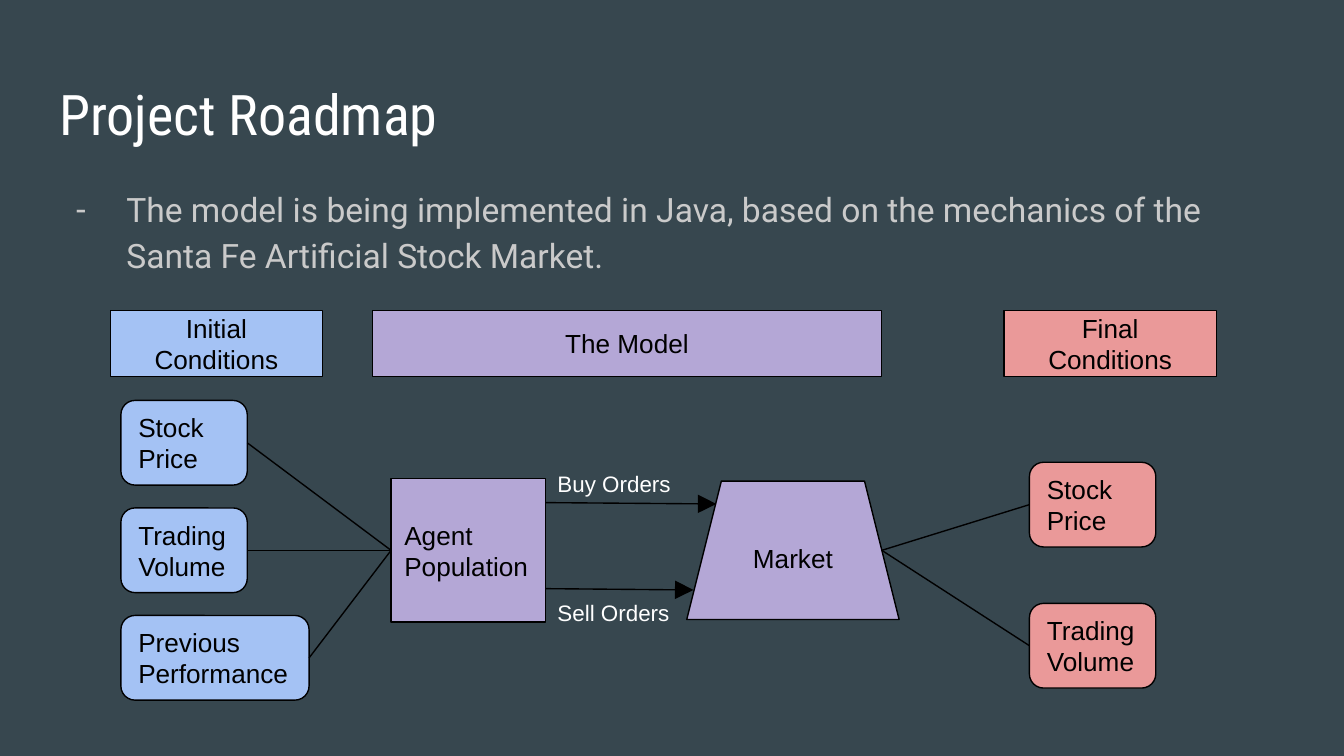
from collections import namedtuple

from pptx import Presentation
from pptx.dml.color import RGBColor
from pptx.enum.shapes import MSO_CONNECTOR as Link, MSO_SHAPE as Form
from pptx.enum.text import MSO_ANCHOR as Anchor, MSO_AUTO_SIZE as Fit, PP_ALIGN as Align
from pptx.oxml.ns import qn
from pptx.util import Inches, Pt
from lxml.etree import SubElement

BACKGROUND = RGBColor(0x37, 0x47, 0x4F)
WHITE = RGBColor(0xFF, 0xFF, 0xFF)
BLACK = RGBColor(0, 0, 0)
GREY = RGBColor(0xCA, 0xCA, 0xCA)
BLUE = RGBColor(0xA4, 0xC2, 0xF4)
PURPLE = RGBColor(0xB4, 0xA7, 0xD6)
RED = RGBColor(0xEA, 0x99, 0x99)

HEADER_HEIGHT = 0.49
CARD_WIDTH, CARD_HEIGHT = 0.94, 0.63
STROKE = Pt(0.75)

Box = namedtuple("Box", "left top width height")


def inside(region, x, y, width, height):
    return Box(region.left + x, region.top + y, width, height)


def left_mid(box):
    return box.left, box.top + box.height / 2


def right_mid(box):
    return box.left + box.width, box.top + box.height / 2


def set_all(target, values):
    for key, value in values.items():
        setattr(target, key, value)


def write(frame, text, size, font, color, anchor=Anchor.TOP, align=Align.LEFT):
    set_all(frame, dict(text=text, word_wrap=True, auto_size=Fit.NONE, vertical_anchor=anchor))
    set_all(frame, {"margin_" + side: Inches(0.1) for side in ("left", "top", "right", "bottom")})
    paragraph = frame.paragraphs[0]
    set_all(paragraph, dict(alignment=align, space_before=Pt(0)))
    letters = paragraph.runs[0].font
    set_all(letters, dict(size=Pt(size), name=font))
    letters.color.rgb = color
    return paragraph


def place(placeholder, box):
    set_all(placeholder, {key: Inches(value) for key, value in box._asdict().items()})


def block(slide, form, box, text, color, align=Align.LEFT):
    shape = slide.shapes.add_shape(form, *map(Inches, box))
    shape.shadow.inherit = False
    shape.fill.solid()
    shape.fill.fore_color.rgb = color
    shape.line.color.rgb = BLACK
    shape.line.width = STROKE
    write(shape.text_frame, text, 14, "Arial", BLACK, Anchor.MIDDLE, align)


def link(slide, start, end, arrow=False):
    line = slide.shapes.add_connector(Link.STRAIGHT, *map(Inches, start + end))
    line.line.color.rgb = BLACK
    line.line.width = STROKE
    if arrow:
        SubElement(line.line._get_or_add_ln(), qn("a:tailEnd"), type="triangle", w="lg", len="lg")
    SubElement(line._element.spPr, qn("a:effectLst"))


def header(slide, region, text, color):
    box = inside(region, 0, 0, region.width, HEADER_HEIGHT)
    block(slide, Form.RECTANGLE, box, text, color, Align.CENTER)


def intro(slide, box, title, point):
    # Title
    place(slide.shapes.title, box._replace(height=0.63))
    write(slide.shapes.title.text_frame, title, 30, "Roboto Condensed", WHITE)
    # Dashed list
    body = slide.placeholders[1]
    place(body, inside(box, 0, 0.77, box.width, box.height - 0.77))
    paragraph = write(body.text_frame, point, 18, "Roboto", GREY)
    paragraph.line_spacing = 1.15
    props = paragraph._p.get_or_add_pPr()
    props.set("marL", str(Inches(0.5)))
    props.set("indent", str(Inches(-0.38)))
    bullet_color = SubElement(props, qn("a:buClr"))
    SubElement(bullet_color, qn("a:srgbClr"), val=str(GREY))
    SubElement(props, qn("a:buChar"), char="-")


def conditions(slide, region, title, color, cards, x, first, step):
    """Draw a header over a column of cards and return the card boxes."""
    header(slide, region, title, color)
    boxes = []
    for row, (text, width) in enumerate(cards):
        box = inside(region, x, first + row * step, width, CARD_HEIGHT)
        block(slide, Form.ROUNDED_RECTANGLE, box, text, color)
        boxes.append(box)
    return boxes


def model(slide, region):
    """Draw the model and return its entry and exit points."""
    header(slide, region, "The Model", PURPLE)
    agents = inside(region, 0.14, 1.25, 1.15, 1.07)
    market = inside(region, 2.34, 1.27, 1.58, 1.03)
    block(slide, Form.RECTANGLE, agents, "Agent Population", PURPLE)
    block(slide, Form.TRAPEZOID, market, "Market", PURPLE, Align.CENTER)
    # Orders from agents to market
    agents_right = agents.left + agents.width
    for text, label_y, arrow_y, reach in (("Buy Orders", 1.09, 1.43, 1.27),
                                          ("Sell Orders", 2.05, 2.07, 1.1)):
        start = agents_right, region.top + arrow_y
        link(slide, start, (start[0] + reach, start[1] + 0.01), arrow=True)
        label = slide.shapes.add_textbox(*map(Inches, inside(region, 1.28, label_y, 1.23, 0.26)))
        write(label.text_frame, text, 12, "Arial", WHITE)
    # The trapezoid's slanted side is half its inset away from the box edge
    exit_x, exit_y = right_mid(market)
    return left_mid(agents), (exit_x - market.height / 8, exit_y)


def roadmap(slide, box):
    initial = box._replace(width=1.58)
    centre = inside(box, 1.95, 0, 3.79, box.height)
    final = inside(box, box.width - 1.58, 0, 1.58, box.height)
    price, volume = ("Stock Price", CARD_WIDTH), ("Trading Volume", CARD_WIDTH)
    inputs = conditions(slide, initial, "Initial Conditions", BLUE,
                        (price, volume, ("Previous Performance", 1.4)), 0.08, 0.67, 0.8)
    entry, leave = model(slide, centre)
    outputs = conditions(slide, final, "Final Conditions", RED, (price, volume), 0.19, 1.13, 1.05)
    for card in inputs:
        link(slide, right_mid(card), entry)
    for card in outputs:
        link(slide, leave, left_mid(card))


deck = Presentation()
# Widescreen 16:9
set_all(deck, dict(slide_width=Inches(10), slide_height=Inches(10) * 9 // 16))
page = deck.slides.add_slide(deck.slide_layouts[1])
page.background.fill.solid()
page.background.fill.fore_color.rgb = BACKGROUND
intro(page, Box(0.34, 0.49, 9.32, 4.51), "Project Roadmap",
      "The model is being implemented in Java, based on the mechanics of the "
      "Santa Fe Artificial Stock Market.")
roadmap(page, Box(0.82, 2.31, 8.23, 2.9))
deck.save("out.pptx")
